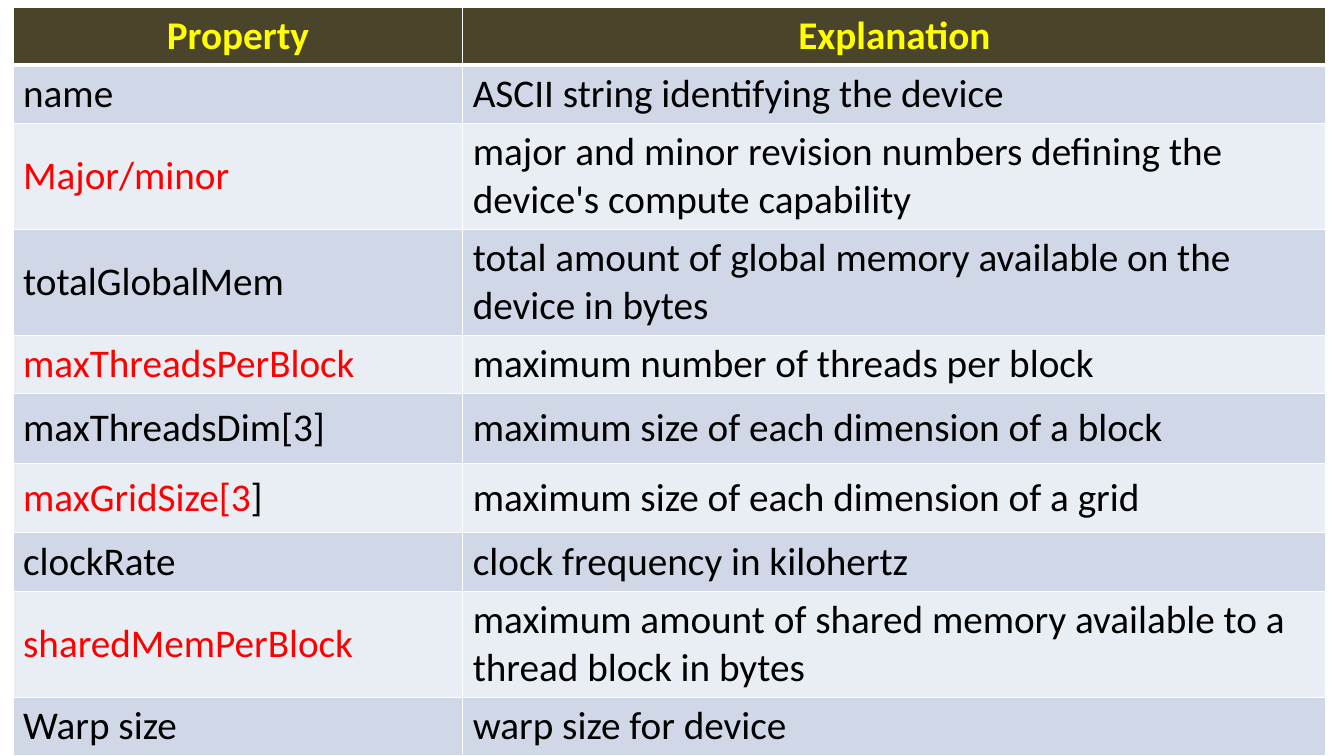
"""Build a slide with a table of device properties and their explanations."""
from dataclasses import dataclass

from lxml.etree import SubElement
from pptx import Presentation
from pptx.dml.color import RGBColor as RGB
from pptx.enum.text import MSO_ANCHOR as Anchor, PP_ALIGN as Align
from pptx.oxml.ns import qn
from pptx.util import Inches, Pt


@dataclass(frozen=True)
class Theme:
    font: str = "Calibri"
    size: int = 28
    head_text: str = "FFFF00"
    head_fill: str = "4A452A"
    text: str = "000000"
    accent: str = "FF0000"
    bands: tuple[str, str] = ("D0D8E8", "E9EDF4")
    border: str = "FFFFFF"
    thin: int = 1
    thick: int = 3


@dataclass(frozen=True)
class Grid:
    width: int
    height: int
    cols: int = 1333
    rows: int = 750

    def x(self, n: int) -> int:
        return round(self.width * n / self.cols)

    def y(self, n: int) -> int:
        return round(self.height * n / self.rows)


@dataclass(frozen=True)
class Property:
    name: str
    explanation: str
    height: int
    accent: str = ""


THEME = Theme()
LEFT, TOP = 13, 7
COLUMNS = (446, 856)
HEAD, SINGLE, ROOMY, DOUBLE = 56, 58, 69, 102
PROPERTIES = (
    Property("name", "ASCII string identifying the device", SINGLE),
    Property("", "major and minor revision numbers defining the device's compute capability",
             DOUBLE, accent="Major/minor"),
    Property("totalGlobalMem", "total amount of global memory available on the device in bytes",
             DOUBLE),
    Property("", "maximum number of threads per block", SINGLE, accent="maxThreadsPerBlock"),
    Property("maxThreadsDim[3]", "maximum size of each dimension of a block", ROOMY),
    Property("]", "maximum size of each dimension of a grid", ROOMY, accent="maxGridSize[3"),
    Property("clockRate", "clock frequency in kilohertz", SINGLE),
    Property("", "maximum amount of shared memory available to a thread block in bytes",
             DOUBLE, accent="sharedMemPerBlock"),
    Property("Warp size", "warp size for device", SINGLE),
)


def add_run(p, text: str, color: str, bold: bool = False) -> None:
    r = p.add_run()
    r.text = text
    r.font.name = THEME.font
    r.font.size = Pt(THEME.size)
    r.font.bold = bold
    r.font.color.rgb = RGB.from_string(color)


def style_cell(cell, fill: str, top: int, bottom: int) -> None:
    tc_pr = cell._tc.get_or_add_tcPr()
    widths = {"lnL": THEME.thin, "lnR": THEME.thin, "lnT": top, "lnB": bottom}
    for side, width in widths.items():
        ln = SubElement(tc_pr, qn(f"a:{side}"), w=str(Pt(width)))
        line_fill = SubElement(ln, qn("a:solidFill"))
        SubElement(line_fill, qn("a:srgbClr"), val=THEME.border)
    cell.fill.solid()
    cell.fill.fore_color.rgb = RGB.from_string(fill)
    cell.vertical_anchor = Anchor.MIDDLE


def add_head(table) -> None:
    for cell, title in zip(table.rows[0].cells, ("Property", "Explanation")):
        style_cell(cell, THEME.head_fill, THEME.thin, THEME.thick)
        p = cell.text_frame.paragraphs[0]
        p.alignment = Align.CENTER
        add_run(p, title, THEME.head_text, bold=True)


def add_property(table, row: int, prop: Property) -> None:
    contents = (
        ((prop.accent, THEME.accent), (prop.name, THEME.text)),
        ((prop.explanation, THEME.text),),
    )
    top = THEME.thick if row == 1 else THEME.thin
    for cell, runs in zip(table.rows[row].cells, contents):
        style_cell(cell, THEME.bands[(row - 1) % 2], top, THEME.thin)
        p = cell.text_frame.paragraphs[0]
        for text, color in runs:
            if text:
                add_run(p, text, color)


def main() -> None:
    prs = Presentation()
    prs.slide_width, prs.slide_height = Inches(13.33), Inches(7.5)
    grid = Grid(prs.slide_width, prs.slide_height)
    s = prs.slides.add_slide(prs.slide_layouts[6])
    heights = (HEAD, *(prop.height for prop in PROPERTIES))
    table = s.shapes.add_table(len(heights), len(COLUMNS), grid.x(LEFT), grid.y(TOP),
                               grid.x(sum(COLUMNS)), grid.y(sum(heights))).table
    for column, width in zip(table.columns, COLUMNS):
        column.width = grid.x(width)
    for row, height in zip(table.rows, heights):
        row.height = grid.y(height)
    add_head(table)
    for i, prop in enumerate(PROPERTIES, start=1):
        add_property(table, i, prop)
    prs.save("out.pptx")


if __name__ == "__main__":
    main()
